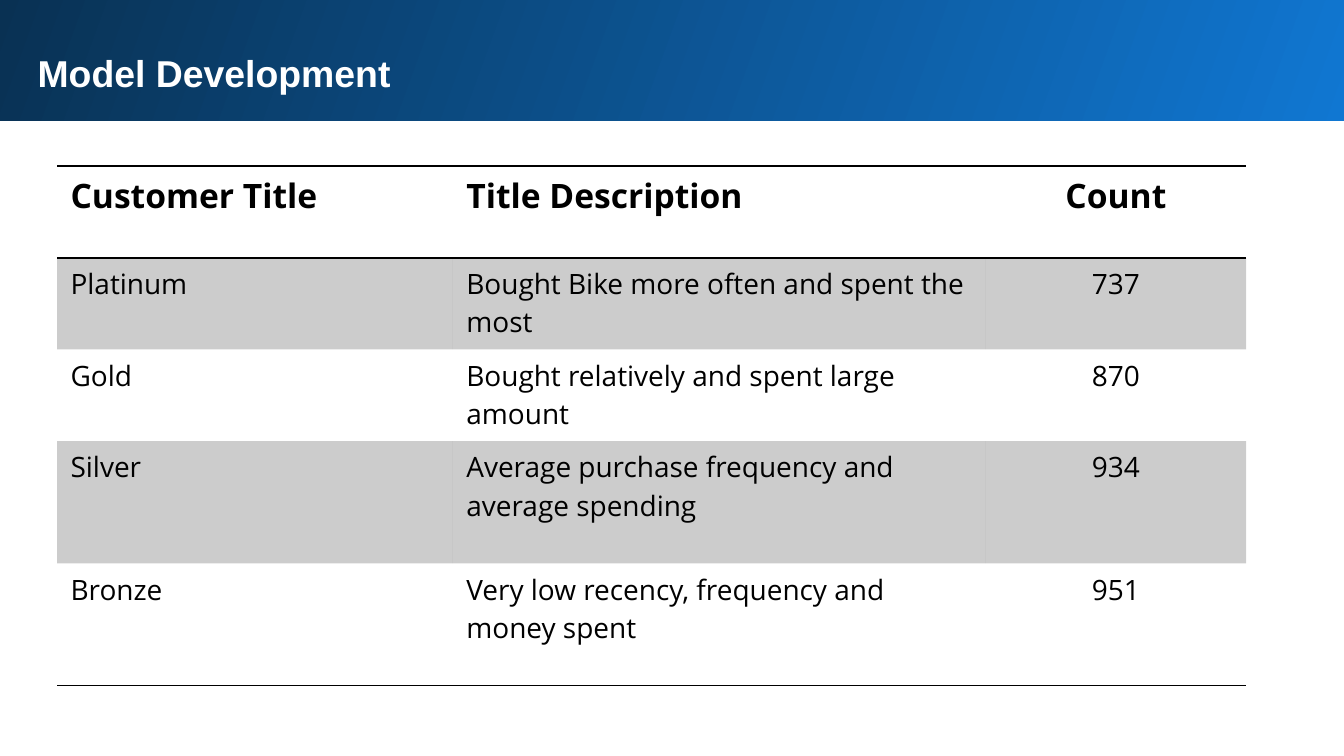
from lxml.etree import SubElement
from pptx import Presentation
from pptx.dml.color import RGBColor
from pptx.enum.shapes import MSO_SHAPE as Shape
from pptx.enum.text import MSO_ANCHOR as Anchor, MSO_AUTO_SIZE as AutoSize, PP_ALIGN as Align
from pptx.oxml import parse_xml
from pptx.oxml.ns import nsdecls, qn
from pptx.util import Cm, Pt

NO_STYLE_NO_GRID = "{2D5ABB26-0587-4C30-8999-92F81FD0307C}"


def color(hex_string):
    return RGBColor.from_string(hex_string)


def add_rule(cell, side):
    """Draw a 1 pt black border on one side of a cell: "T" or "B"."""
    line = parse_xml(
        f'<a:ln{side} {nsdecls("a")} w="12700"><a:solidFill>'
        f'<a:srgbClr val="000000"/></a:solidFill></a:ln{side}>'
    )
    cell._tc.get_or_add_tcPr().insert(0, line)


presentation = Presentation()
presentation.slide_width = Cm(25.4)
presentation.slide_height = Cm(14.28)
slide = presentation.slides.add_slide(presentation.slide_layouts[5])

# Header band
band = slide.shapes.add_shape(Shape.RECTANGLE, Cm(-0.05), Cm(-0.05), Cm(25.52), Cm(2.33))
band.shadow.inherit = False
band.line.fill.background()
band.fill.gradient()
band.fill.gradient_angle = 160
for stop, position, shade in zip(band.fill.gradient_stops, (0, 1), ("1077D2", "093153")):
    stop.position = position
    stop.color.rgb = color(shade)

# Title, brought in front of the band
title = slide.shapes.title
band._element.addnext(title._element)
title.left, title.top, title.width, title.height = Cm(0.58), Cm(0.81), Cm(23.22), Cm(1.12)
frame = title.text_frame
frame.text = "Model Development"
frame.auto_size = AutoSize.SHAPE_TO_FIT_TEXT
frame.vertical_anchor = Anchor.TOP
frame.margin_left = frame.margin_right = frame.margin_top = frame.margin_bottom = Cm(0.13)
paragraph = frame.paragraphs[0]
paragraph.alignment = Align.LEFT
paragraph.font.name = "Arial"
paragraph.font.size = Pt(20)
paragraph.font.bold = True
paragraph.font.color.rgb = color("FFFFFF")

# Customer table
rows = [
    ("Customer Title", "Title Description", "Count"),
    ("Platinum", "Bought Bike more often and spent the most", "737"),
    ("Gold", "Bought relatively and spent large amount", "870"),
    ("Silver", "Average purchase frequency and average spending", "934"),
    ("Bronze", "Very low recency, frequency and money spent", "951"),
]
column_widths = [7.48, 10.07, 4.92]
row_heights = [1.73, 1.73, 1.73, 2.31, 2.31]
graphic_frame = slide.shapes.add_table(
    len(rows), len(column_widths), Cm(1.08), Cm(3.14),
    Cm(sum(column_widths)), Cm(sum(row_heights)),
)
table = graphic_frame.table
table.first_row = table.horz_banding = False
table._tbl.tblPr.find(qn("a:tableStyleId")).text = NO_STYLE_NO_GRID
for column, width in zip(table.columns, column_widths):
    column.width = Cm(width)
for row, height in zip(table.rows, row_heights):
    row.height = Cm(height)

for row_index, texts in enumerate(rows):
    is_header = row_index == 0
    for column_index, text in enumerate(texts):
        cell = table.cell(row_index, column_index)
        cell.text = text
        paragraph = cell.text_frame.paragraphs[0]
        paragraph.alignment = Align.CENTER if column_index == 2 else Align.LEFT
        paragraph.font.name = "Open Sans"
        paragraph.font.size = Pt(18 if is_header else 15)
        paragraph.font.bold = is_header
        paragraph.font.color.rgb = color("000000")
        if row_index % 2:
            cell.fill.solid()
            cell.fill.fore_color.rgb = color("000000")
            black = cell._tc.tcPr.find(".//" + qn("a:srgbClr"))
            SubElement(black, qn("a:alpha"), val="20000")
        else:
            cell.fill.background()
        if is_header or row_index == len(rows) - 1:
            add_rule(cell, "B")
        if is_header:
            add_rule(cell, "T")

presentation.save("out.pptx")
